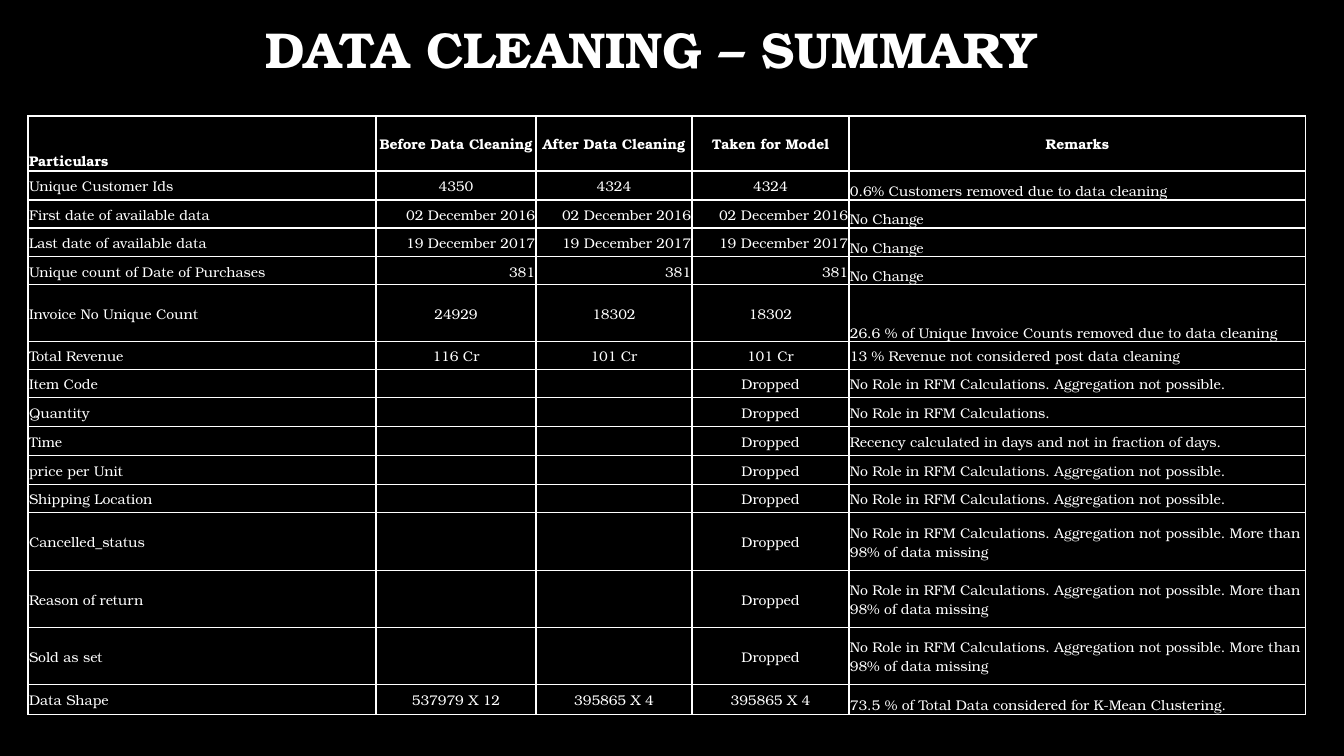
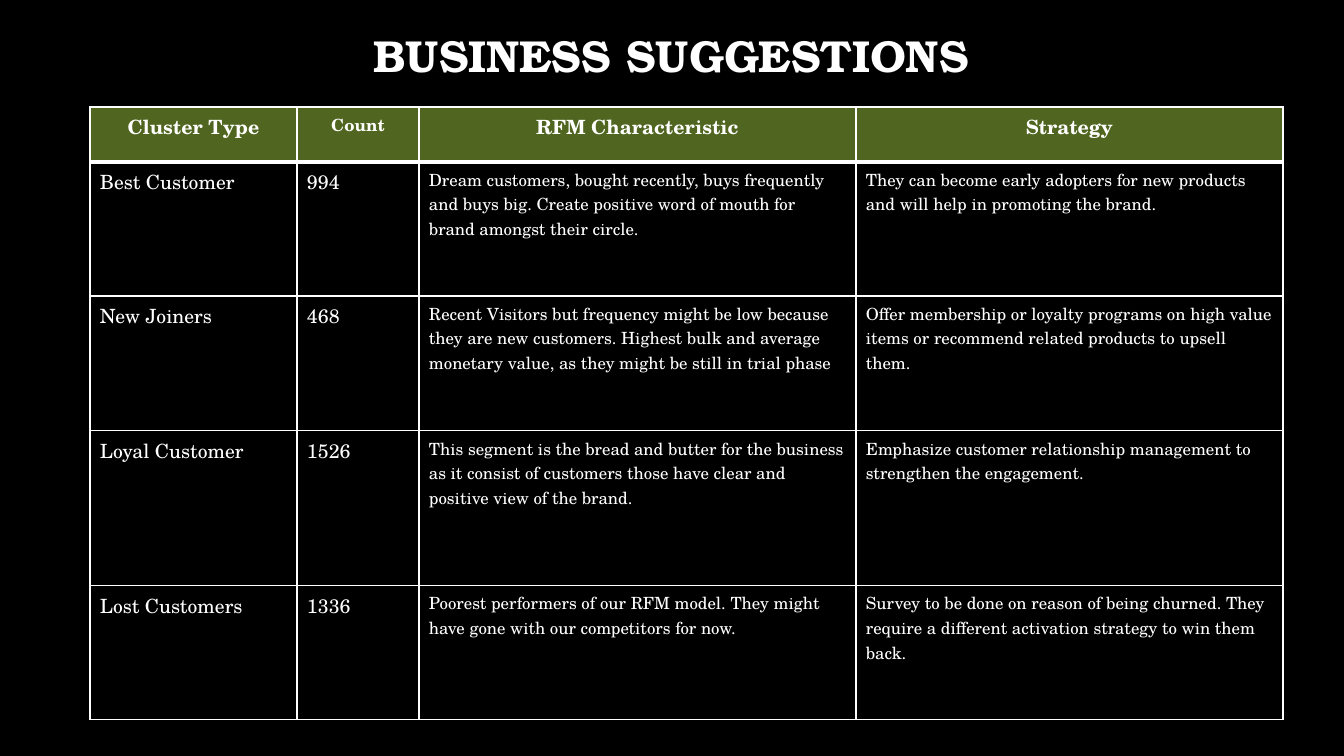
from dataclasses import dataclass, replace

from lxml.etree import SubElement
from pptx import Presentation
from pptx.dml.color import RGBColor
from pptx.enum.text import MSO_ANCHOR, PP_ALIGN
from pptx.oxml.ns import qn
from pptx.util import Emu, Pt

EMU_PER_PX = 914400 / 100.8
BLACK, WHITE, OLIVE = "000000", "FFFFFF", "50651F"
BONUM, SCHOLA = "TeX Gyre Bonum", "TeX Gyre Schola"
LEFT, CENTER, RIGHT = PP_ALIGN.LEFT, PP_ALIGN.CENTER, PP_ALIGN.RIGHT
TOP, MIDDLE, BOTTOM = MSO_ANCHOR.TOP, MSO_ANCHOR.MIDDLE, MSO_ANCHOR.BOTTOM


def px(length):
    return Emu(round(length * EMU_PER_PX))


def rgb(color):
    return RGBColor.from_string(color)


@dataclass(frozen=True)
class CellStyle:
    font: str
    size: int
    bold: bool = False
    align: PP_ALIGN = LEFT
    anchor: MSO_ANCHOR = TOP
    insets: tuple = (10, 5, 10, 5)
    fill: str = ""
    top_line: int = 1
    bottom_line: int = 1


class Deck:
    def __init__(self):
        self.presentation = Presentation()
        self.presentation.slide_width = px(1344)
        self.presentation.slide_height = px(756)
        self.slide = None

    def new_slide(self):
        self.slide = self.presentation.slides.add_slide(self.presentation.slide_layouts[6])
        background = self.slide.background.fill
        background.solid()
        background.fore_color.rgb = rgb(BLACK)

    def add_text(self, paragraph, text, font, size, bold):
        run = paragraph.add_run()
        run.text = text
        run.font.name = font
        run.font.size = Pt(size)
        run.font.bold = bold
        run.font.color.rgb = rgb(WHITE)

    def title(self, text, left, height, size):
        box = self.slide.shapes.add_textbox(px(left), px(8), px(1141), px(height))
        frame = box.text_frame
        frame.word_wrap = True
        frame.vertical_anchor = MIDDLE
        heading = frame.paragraphs[0]
        heading.alignment = CENTER
        heading.line_spacing = 0.9
        self.add_text(heading, text, BONUM, size, True)

    def table(self, column_edges, row_edges, rows, style_at):
        """Draw a table between the given edges; style_at(row, column) gives each cell's style."""
        left, top = column_edges[0], row_edges[0]
        grid = self.slide.shapes.add_table(
            len(rows), len(rows[0]), px(left), px(top),
            px(column_edges[-1] - left), px(row_edges[-1] - top)).table
        grid.horz_banding = False
        for column, start, end in zip(grid.columns, column_edges, column_edges[1:]):
            column.width = px(end - start)
        for row, start, end in zip(grid.rows, row_edges, row_edges[1:]):
            row.height = px(end - start)
        for r, texts in enumerate(rows):
            for c, text in enumerate(texts):
                self.fill_cell(grid.cell(r, c), text, style_at(r, c))

    def fill_cell(self, cell, text, style):
        cell.margin_left, cell.margin_top, cell.margin_right, cell.margin_bottom = map(px, style.insets)
        cell.vertical_anchor = style.anchor
        paragraph = cell.text_frame.paragraphs[0]
        paragraph.alignment = style.align
        if text:
            self.add_text(paragraph, text, style.font, style.size, style.bold)
        else:
            # Keeps an empty cell from stretching its row
            SubElement(paragraph._p, qn("a:endParaRPr"), sz=str(style.size * 100))
        self.border(cell, style)
        if style.fill:
            cell.fill.solid()
            cell.fill.fore_color.rgb = rgb(style.fill)
        else:
            cell.fill.background()

    def border(self, cell, style):
        properties = cell._tc.get_or_add_tcPr()
        widths = {"L": 1, "R": 1, "T": style.top_line, "B": style.bottom_line}
        for side, width in widths.items():
            line = SubElement(properties, qn(f"a:ln{side}"), w=str(Pt(width)))
            SubElement(SubElement(line, qn("a:solidFill")), qn("a:srgbClr"), val=WHITE)


NO_ROLE = "No Role in RFM Calculations."
NO_AGGREGATION = f"{NO_ROLE} Aggregation not possible."
MOSTLY_MISSING = f"{NO_AGGREGATION} More than 98% of data missing"


def dropped(field, remark):
    return (field, "", "", "Dropped", remark)


def unchanged(field, value):
    return (field, value, value, value, "No Change")


CLEANING_ROWS = [
    ("Particulars", "Before Data Cleaning", "After Data Cleaning", "Taken for Model", "Remarks"),
    ("Unique Customer Ids", "4350", "4324", "4324", "0.6% Customers removed due to data cleaning"),
    unchanged("First date of available data", "02 December 2016"),
    unchanged("Last date of available data", "19 December 2017"),
    unchanged("Unique count of Date of Purchases", "381"),
    ("Invoice No Unique Count", "24929", "18302", "18302",
     "26.6 % of Unique Invoice Counts removed due to data cleaning"),
    ("Total Revenue", "116 Cr", "101 Cr", "101 Cr", "13 % Revenue not considered post data cleaning"),
    dropped("Item Code", NO_AGGREGATION),
    dropped("Quantity", NO_ROLE),
    dropped("Time", "Recency calculated in days and not in fraction of days."),
    dropped("price per Unit", NO_AGGREGATION),
    dropped("Shipping Location", NO_AGGREGATION),
    dropped("Cancelled_status", MOSTLY_MISSING),
    dropped("Reason of return", MOSTLY_MISSING),
    dropped("Sold as set", MOSTLY_MISSING),
    ("Data Shape", "537979 X 12", "395865 X 4", "395865 X 4",
     "73.5 % of Total Data considered for K-Mean Clustering."),
]

STRATEGY_ROWS = [
    ("Cluster Type", "Count", "RFM Characteristic", "Strategy"),
    ("Best Customer", "994",
     "Dream customers, bought recently, buys frequently and buys big. "
     "Create positive word of mouth for brand amongst their circle.",
     "They can become early adopters for new products and will help in promoting the brand."),
    ("New Joiners", "468",
     "Recent Visitors but frequency might be low because they are new customers. "
     "Highest bulk and average monetary value, as they might be still in trial phase",
     "Offer membership or loyalty programs on high value items "
     "or recommend related products to upsell them."),
    ("Loyal Customer", "1526",
     "This segment is the bread and butter for the business as it consist of customers "
     "those have clear and positive view of the brand.",
     "Emphasize customer relationship management to strengthen the engagement."),
    ("Lost Customers", "1336",
     "Poorest performers of our RFM model. They might have gone with our competitors for now.",
     "Survey to be done on reason of being churned. "
     "They require a different activation strategy to win them back."),
]


def cleaning_style(row, column):
    style = CellStyle(BONUM, 10, bold=row == 0, anchor=MIDDLE, insets=(1, 1, 1, 0))
    is_remark = column == 4
    if (row, column) == (0, 0) or is_remark and row in (1, 2, 3, 4, 5, 15):
        style = replace(style, anchor=BOTTOM)
    if column in (1, 2, 3):
        return replace(style, align=RIGHT if row in (2, 3, 4) else CENTER)
    return replace(style, align=CENTER) if row == 0 and is_remark else style


def strategy_style(row, column):
    if row == 0:
        return CellStyle(SCHOLA, 12 if column == 1 else 14, bold=True,
                         align=CENTER, fill=OLIVE, bottom_line=3)
    return CellStyle(SCHOLA, 14 if column < 2 else 12, top_line=3 if row == 1 else 1)


def main():
    deck = Deck()

    deck.new_slide()
    deck.title("DATA CLEANING – SUMMARY", left=81, height=88, size=36)
    deck.table(
        [28, 376, 536, 692, 849, 1306],
        [116, 171, 200, 228, 257, 285, 342, 370, 398, 427, 456, 485, 513, 571, 628, 685, 715],
        CLEANING_ROWS, cleaning_style)

    deck.new_slide()
    deck.title("BUSINESS SUGGESTIONS", left=101, height=100, size=32)
    deck.table([90, 297, 419, 856, 1283], [107, 162, 296, 431, 586, 720],
               STRATEGY_ROWS, strategy_style)

    deck.presentation.save("out.pptx")


if __name__ == "__main__":
    main()
